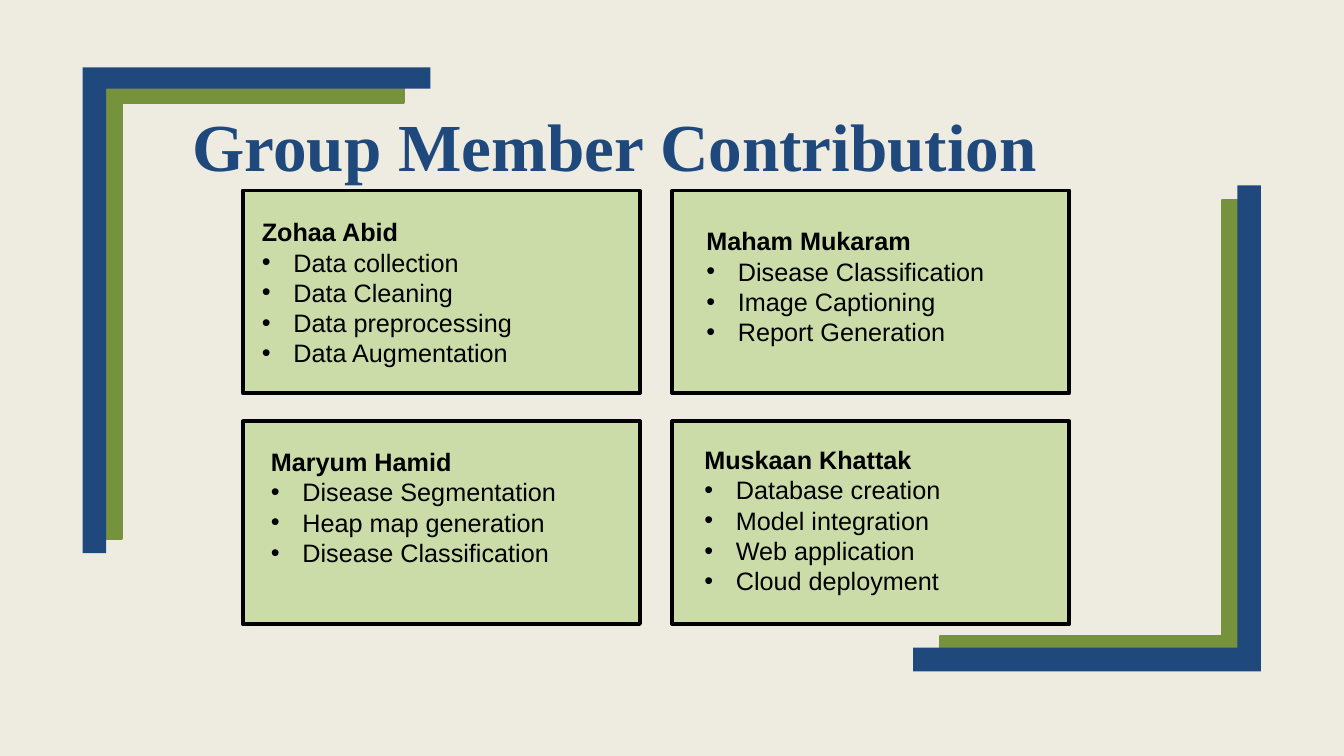
"""Build the group member contribution slide."""
from dataclasses import dataclass

from lxml.etree import SubElement
from pptx import Presentation
from pptx.dml.color import RGBColor
from pptx.enum.shapes import MSO_SHAPE as Preset
from pptx.enum.text import MSO_ANCHOR as Anchor, MSO_AUTO_SIZE as AutoSize, PP_ALIGN as Align
from pptx.oxml.ns import qn
from pptx.slide import Slide
from pptx.text.text import _Paragraph as Paragraph
from pptx.util import Pt

COLORS = {"paper": "EEECE1", "navy": "1F497D", "olive": "76923C", "card": "CBDCA9", "ink": "000000"}
CARD_LEFT, CARD_TOP, CARD_WIDTH, CARD_HEIGHT = 173.5, 136.1, 283.7, 144.7
COLUMN_STEP, ROW_STEP = 306.7, 164.9
NOTE_WIDTH = 277.9
BORDER = 2.75
BULLET_INDENT = 22.5


@dataclass
class Bracket:
    """An L-shaped corner ornament."""
    left: float
    top: float
    width: float
    height: float
    flip: str
    thickness: tuple[float, float]
    color: str
    outlined: bool


@dataclass
class Member:
    """A group member with tasks and the place of the note."""
    name: str
    tasks: list[str]
    left: float
    top: float
    height: float


BRACKETS = [
    Bracket(69.8, 56.9, 218.2, 327.6, "flipV", (0.074, 0.077), "olive", True),
    Bracket(671.8, 143.3, 218.2, 327.6, "flipH", (0.074, 0.077), "olive", True),
    Bracket(59, 48.2, 248.4, 347, "flipV", (0.061, 0.068), "navy", False),
    Bracket(652.3, 132.5, 248.4, 347, "flipH", (0.068, 0.068), "navy", False),
]
MEMBERS = [
    Member("Zohaa Abid",
           ["Data collection", "Data Cleaning", "Data preprocessing", "Data Augmentation"],
           180, 129.6, 159.8),
    Member("Maham Mukaram",
           ["Disease Classification", "Image Captioning", "Report Generation"],
           497.5, 136.1, 159.8),
    Member("Maryum Hamid",
           ["Disease Segmentation", "Heap map generation", "Disease Classification"],
           186.5, 293.8, 138.2),
    Member("Muskaan Khattak",
           ["Database creation", "Model integration", "Web application", "Cloud deployment"],
           496.1, 292.3, 159.8),
]


def rgb(name: str) -> RGBColor:
    """Look up a named colour."""
    return RGBColor.from_string(COLORS[name])


def draw_bracket(slide: Slide, bracket: Bracket) -> None:
    """Draw a corner ornament."""
    corner = slide.shapes.add_shape(Preset.CORNER, Pt(bracket.left), Pt(bracket.top),
                                    Pt(bracket.width), Pt(bracket.height))
    corner.shadow.inherit = False
    corner.adjustments[0], corner.adjustments[1] = bracket.thickness
    corner.element.spPr.xfrm.set(bracket.flip, "1")
    corner.fill.solid()
    corner.fill.fore_color.rgb = rgb(bracket.color)
    if bracket.outlined:
        corner.line.color.rgb = rgb(bracket.color)
        corner.line.width = Pt(BORDER)
    else:
        corner.line.fill.background()


def draw_card(slide: Slide, row: int, column: int) -> None:
    """Draw the bordered card at a grid position."""
    card = slide.shapes.add_shape(Preset.RECTANGLE, Pt(CARD_LEFT + column * COLUMN_STEP),
                                  Pt(CARD_TOP + row * ROW_STEP), Pt(CARD_WIDTH), Pt(CARD_HEIGHT))
    card.shadow.inherit = False
    card.fill.solid()
    card.fill.fore_color.rgb = rgb("card")
    card.line.color.rgb = rgb("ink")
    card.line.width = Pt(BORDER)


def style_text(paragraph: Paragraph, font: str, size: float, color: str, bold: bool) -> None:
    """Format every run of a paragraph."""
    for run in paragraph.runs:
        run.font.name = font
        run.font.size = Pt(size)
        run.font.bold = bold
        run.font.color.rgb = rgb(color)


def add_bullet(paragraph: Paragraph) -> None:
    """Give a paragraph a hanging bullet."""
    properties = paragraph._p.get_or_add_pPr()
    properties.set("marL", str(Pt(BULLET_INDENT)))
    properties.set("indent", str(-Pt(BULLET_INDENT)))
    SubElement(properties, qn("a:buFont"), typeface="Arial")
    SubElement(properties, qn("a:buChar"), char="•")


def write_note(slide: Slide, member: Member) -> None:
    """Write a member's name and tasks."""
    note = slide.shapes.add_textbox(Pt(member.left), Pt(member.top),
                                    Pt(NOTE_WIDTH), Pt(member.height))
    frame = note.text_frame
    frame.word_wrap = True
    frame.auto_size = AutoSize.SHAPE_TO_FIT_TEXT
    heading = frame.paragraphs[0]
    heading.text = member.name
    heading.line_spacing = 2.0
    style_text(heading, "Arial", 18, "ink", True)
    for task in member.tasks:
        item = frame.add_paragraph()
        item.text = task
        add_bullet(item)
        style_text(item, "Arial", 18, "ink", False)


def write_title(slide: Slide) -> None:
    """Place and format the slide title."""
    title = slide.shapes.title
    title.left, title.top, title.width, title.height = Pt(130.3), Pt(65.5), Pt(643), Pt(82.8)
    frame = title.text_frame
    frame.text = "Group Member Contribution"
    frame.word_wrap = True
    frame.auto_size = AutoSize.NONE
    frame.vertical_anchor = Anchor.MIDDLE
    heading = frame.paragraphs[0]
    heading.alignment = Align.LEFT
    heading.line_spacing = 0.89
    style_text(heading, "Times New Roman", 48, "navy", True)


def main() -> None:
    """Create the presentation and save it."""
    deck = Presentation()
    deck.slide_width, deck.slide_height = Pt(960), Pt(540)
    slide = deck.slides.add_slide(deck.slide_layouts[5])
    slide.background.fill.solid()
    slide.background.fill.fore_color.rgb = rgb("paper")
    for bracket in BRACKETS:
        draw_bracket(slide, bracket)
    write_title(slide)
    for index in range(len(MEMBERS)):
        draw_card(slide, *divmod(index, 2))
    for member in MEMBERS:
        write_note(slide, member)
    deck.save("out.pptx")


if __name__ == "__main__":
    main()
